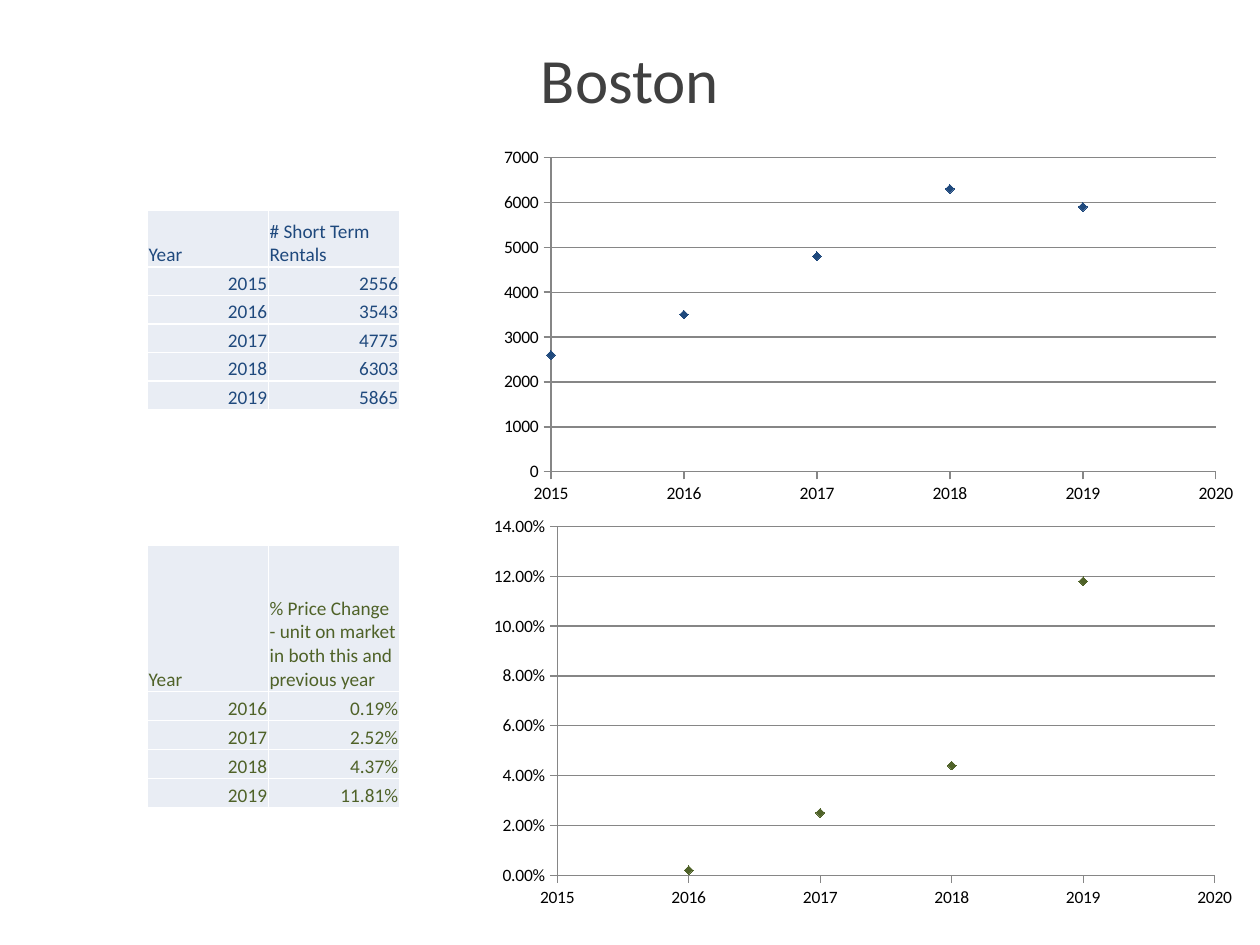
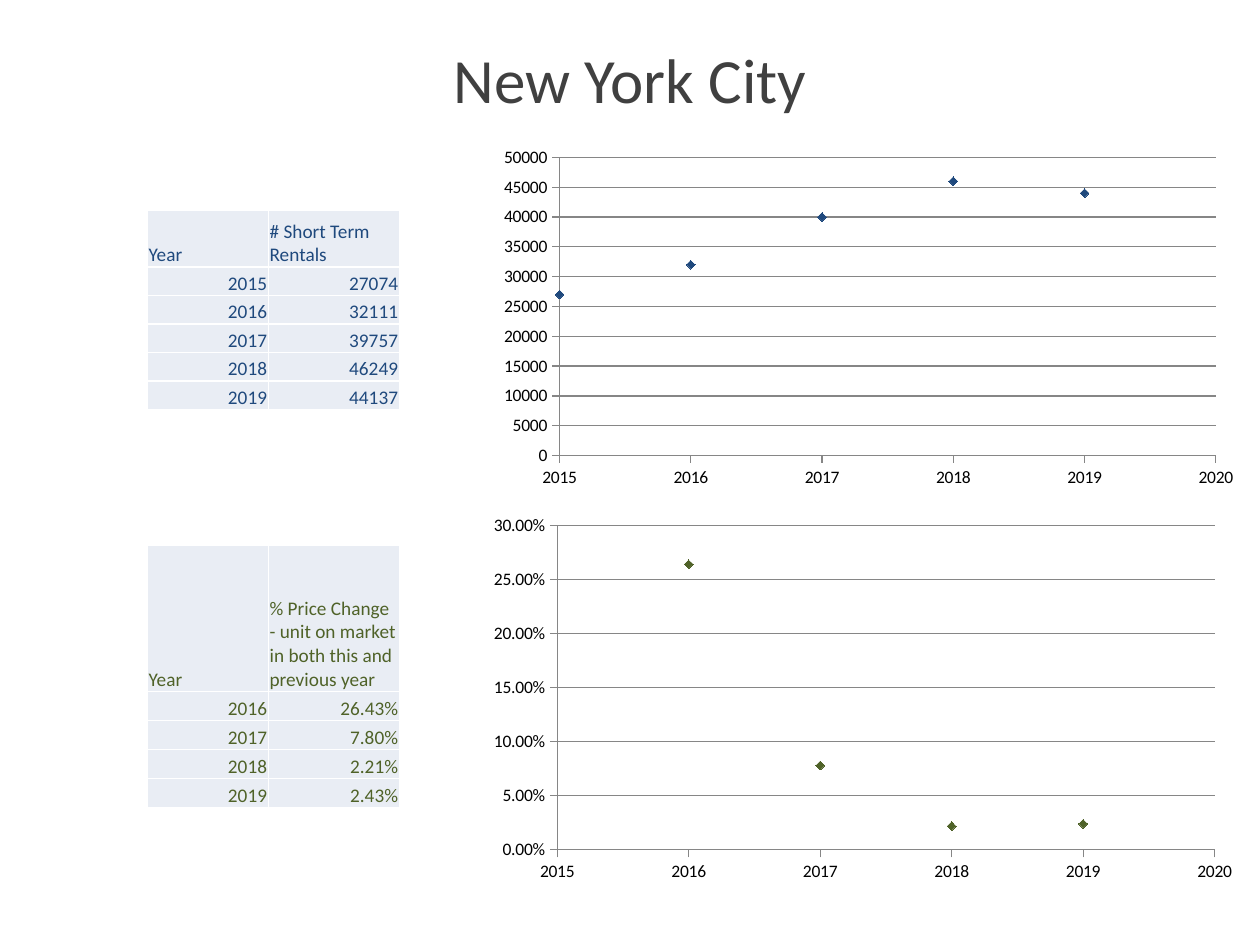
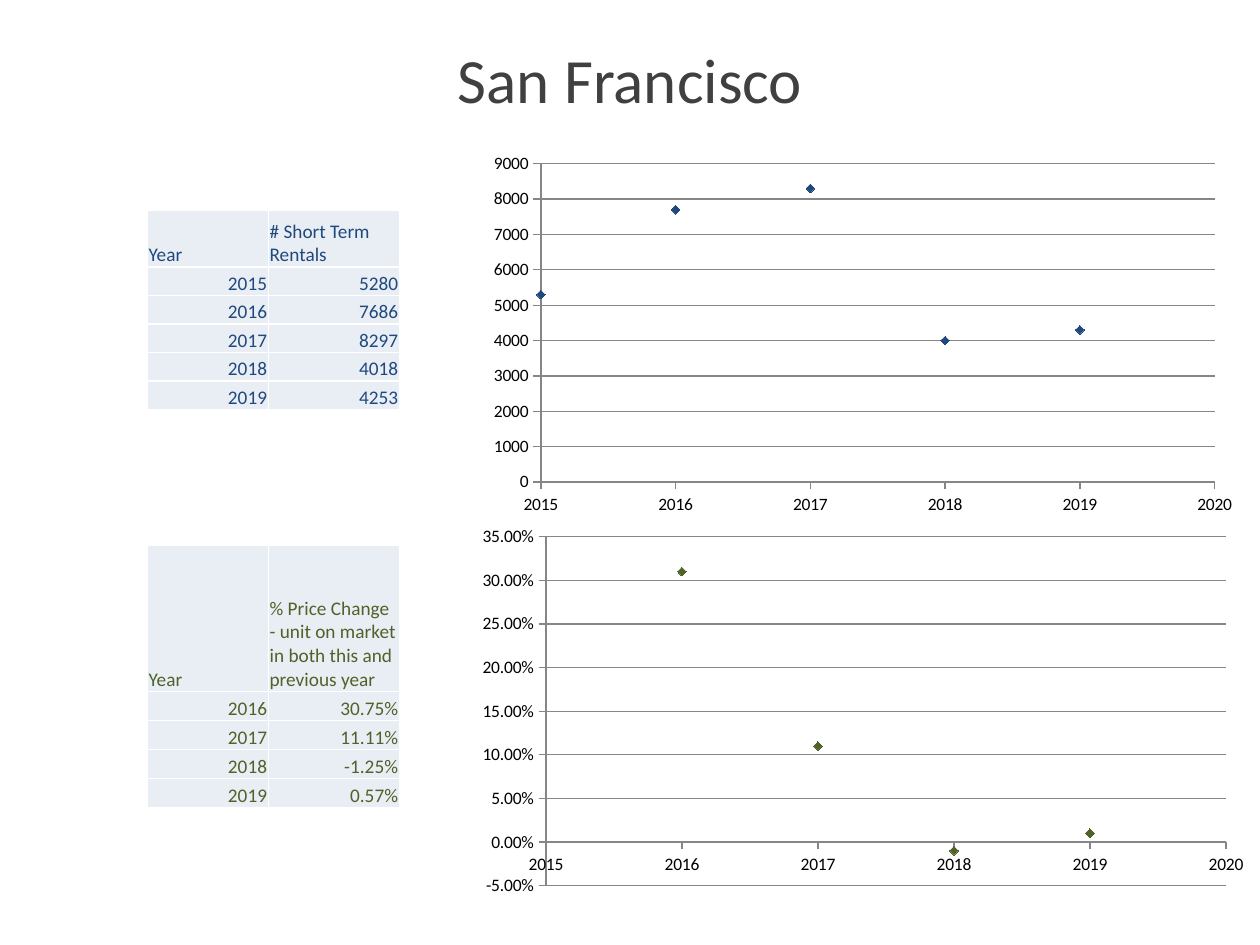
from dataclasses import dataclass
from typing import Any

from lxml import etree
from pptx import Presentation
from pptx.chart.data import XyChartData
from pptx.dml.color import RGBColor
from pptx.enum.chart import XL_CHART_TYPE, XL_MARKER_STYLE, XL_TICK_MARK
from pptx.enum.text import MSO_ANCHOR, PP_ALIGN
from pptx.oxml.ns import qn
from pptx.util import Inches, Pt

SCATTER = XL_CHART_TYPE.XY_SCATTER
DIAMOND = XL_MARKER_STYLE.DIAMOND
OUTSIDE, NO_TICK = XL_TICK_MARK.OUTSIDE, XL_TICK_MARK.NONE
MIDDLE, BOTTOM = MSO_ANCHOR.MIDDLE, MSO_ANCHOR.BOTTOM
LEFT, CENTER, RIGHT = PP_ALIGN.LEFT, PP_ALIGN.CENTER, PP_ALIGN.RIGHT

FONT = "Calibri"
INK, GRAY, PALE, WHITE, BLACK = "404040", "868686", "E9EDF4", "FFFFFF", "000000"
COLS = (0.96, 1.04)
LAST = 2019

CELL = {
    "vertical_anchor": BOTTOM,
    "margin_left": Inches(0.01),
    "margin_right": Inches(0.01),
    "margin_top": Inches(0.01),
    "margin_bottom": 0,
}
PLAIN = {"first_row": False, "horz_banding": False}
AXIS = {
    "has_title": False,
    "has_minor_gridlines": False,
    "major_tick_mark": OUTSIDE,
    "minor_tick_mark": NO_TICK,
}
YEARS = {
    "minimum_scale": 2015,
    "maximum_scale": 2020,
    "major_unit": 1,
    "has_major_gridlines": False,
}
GRID = {"has_major_gridlines": True}


@dataclass(frozen=True)
class Box:
    x: float
    y: float
    w: float
    h: float

    def emu(self) -> tuple[int, ...]:
        return tuple(Inches(v) for v in (self.x, self.y, self.w, self.h))


@dataclass(frozen=True)
class Topic:
    """What a table and its chart have in common on every slide."""
    head: str
    color: str
    spot: Box
    top: float
    form: str
    mask: str


@dataclass(frozen=True)
class Panel:
    """One table and its chart; the chart's values are rounded to places."""
    topic: Topic
    chart: Box
    plot: Box
    places: int
    vals: tuple[float, ...]

    def points(self) -> list[tuple[int, float]]:
        first = LAST + 1 - len(self.vals)
        return list(enumerate(self.vals, first))


@dataclass(frozen=True)
class City:
    name: str
    panels: tuple[Panel, ...]


TITLE = Box(0.5, 0, 9, 1.25)
RENTALS = Topic("# Short Term Rentals", "1F497D", Box(1.17, 1.67, 2, 1.58),
                0.45, "{:d}", "0")
PRICES = Topic("% Price Change - unit on market in both this and previous year",
               "4F6228", Box(1.17, 4.33, 2, 2.08), 1.16, "{:.2%}", "0.00%")

CITIES = (
    City("Boston", (
        Panel(RENTALS, Box(4, 1.17, 5.83, 2.83), Box(4.37, 1.25, 5.28, 2.5),
              -2, (2556, 3543, 4775, 6303, 5865)),
        Panel(PRICES, Box(3.92, 4.08, 5.92, 3.12), Box(4.4, 4.18, 5.24, 2.78),
              3, (0.0019, 0.0252, 0.0437, 0.1181)),
    )),
    City("New York City", (
        Panel(RENTALS, Box(4, 1.17, 5.84, 2.7), Box(4.43, 1.25, 5.22, 2.37),
              -3, (27074, 32111, 39757, 46249, 44137)),
        Panel(PRICES, Box(3.92, 4.08, 5.92, 2.92), Box(4.4, 4.17, 5.24, 2.58),
              3, (0.2643, 0.078, 0.0221, 0.0243)),
    )),
    City("San Francisco", (
        Panel(RENTALS, Box(3.92, 1.21, 5.92, 2.87), Box(4.28, 1.3, 5.36, 2.54),
              -2, (5280, 7686, 8297, 4018, 4253)),
        Panel(PRICES, Box(3.83, 4.17, 6.09, 3.04), Box(4.32, 4.26, 5.41, 2.77),
              2, (0.3075, 0.1111, -0.0125, 0.0057)),
    )),
)


def rgb(code: str) -> RGBColor:
    return RGBColor.from_string(code)


def apply(item: Any, opts: dict[str, Any]) -> None:
    for key, val in opts.items():
        setattr(item, key, val)


def set_font(font: Any, size: float, color: str) -> None:
    apply(font, {"name": FONT, "size": Pt(size), "bold": False})
    font.color.rgb = rgb(color)


def write(frame: Any, text: str, size: float, color: str, align: Any) -> None:
    para = frame.paragraphs[0]
    para.alignment = align
    run = para.add_run()
    run.text = text
    set_font(run.font, size, color)


def add_title(slide: Any, text: str) -> None:
    frame = slide.shapes.add_textbox(*TITLE.emu()).text_frame
    apply(frame, {"word_wrap": True, "vertical_anchor": MIDDLE})
    write(frame, text, 36, INK, CENTER)


def add_edges(cell: Any) -> None:
    """Give a cell a white 1 pt line on all four sides."""
    props = cell._tc.get_or_add_tcPr()
    for side in "LRTB":
        line = etree.SubElement(props, qn(f"a:ln{side}"), w=str(Pt(1)))
        fill = etree.SubElement(line, qn("a:solidFill"))
        etree.SubElement(fill, qn("a:srgbClr"), val=WHITE)


def add_grid(slide: Any, panel: Panel) -> None:
    topic = panel.topic
    rows = [("Year", topic.head)]
    rows += [(str(year), topic.form.format(val)) for year, val in panel.points()]
    step = (topic.spot.h - topic.top) / len(panel.vals)
    grid = slide.shapes.add_table(len(rows), len(COLS), *topic.spot.emu()).table
    apply(grid, PLAIN)
    for col, width in zip(grid.columns, COLS):
        col.width = Inches(width)
    for r, texts in enumerate(rows):
        grid.rows[r].height = Inches(step if r else topic.top)
        for c, text in enumerate(texts):
            cell = grid.cell(r, c)
            apply(cell, CELL)
            add_edges(cell)
            cell.fill.solid()
            cell.fill.fore_color.rgb = rgb(PALE)
            write(cell.text_frame, text, 11, topic.color, RIGHT if r else LEFT)


def set_line(line: Any) -> None:
    line.color.rgb = rgb(GRAY)
    line.width = Pt(0.75)


def style_axis(axis: Any, opts: dict[str, Any], mask: str) -> None:
    apply(axis, AXIS | opts)
    apply(axis.tick_labels, {"number_format": mask, "number_format_is_linked": False})
    set_line(axis.format.line)


def place_plot(chart: Any, outer: Box, inner: Box) -> None:
    """Fix the area inside the axes, given in inches on the slide."""
    area = chart._chartSpace.find(f".//{qn('c:plotArea')}")
    for old in area.findall(qn("c:layout")):
        area.remove(old)
    layout = etree.Element(qn("c:layout"))
    area.insert(0, layout)
    manual = etree.SubElement(layout, qn("c:manualLayout"))
    parts = {
        "layoutTarget": "inner",
        "xMode": "edge",
        "yMode": "edge",
        "x": (inner.x - outer.x) / outer.w,
        "y": (inner.y - outer.y) / outer.h,
        "w": inner.w / outer.w,
        "h": inner.h / outer.h,
    }
    for key, val in parts.items():
        etree.SubElement(manual, qn(f"c:{key}"), val=str(val))


def add_plot(slide: Any, panel: Panel) -> None:
    topic = panel.topic
    data = XyChartData(number_format=topic.mask)
    dots = data.add_series("Series 1")
    for year, val in panel.points():
        dots.add_data_point(year, round(val, panel.places))
    chart = slide.shapes.add_chart(SCATTER, *panel.chart.emu(), data).chart
    apply(chart, {"has_title": False, "has_legend": False})
    set_font(chart.font, 10, BLACK)
    style_axis(chart.category_axis, YEARS, "0")
    style_axis(chart.value_axis, GRID, topic.mask)
    set_line(chart.value_axis.major_gridlines.format.line)
    place_plot(chart, panel.chart, panel.plot)

    plot = chart.plots[0]
    plot.vary_by_categories = False
    series = plot.series[0]
    series.smooth = False
    series.format.line.fill.background()
    mark = series.marker
    apply(mark, {"style": DIAMOND, "size": 5})
    mark.format.fill.solid()
    mark.format.fill.fore_color.rgb = rgb(topic.color)
    mark.format.line.color.rgb = rgb(topic.color)


def main() -> None:
    deck = Presentation()
    apply(deck, {"slide_width": Inches(10), "slide_height": Inches(7.5)})
    for city in CITIES:
        slide = deck.slides.add_slide(deck.slide_layouts[6])
        add_title(slide, city.name)
        for panel in city.panels:
            add_grid(slide, panel)
            add_plot(slide, panel)
    deck.save("out.pptx")


if __name__ == "__main__":
    main()
